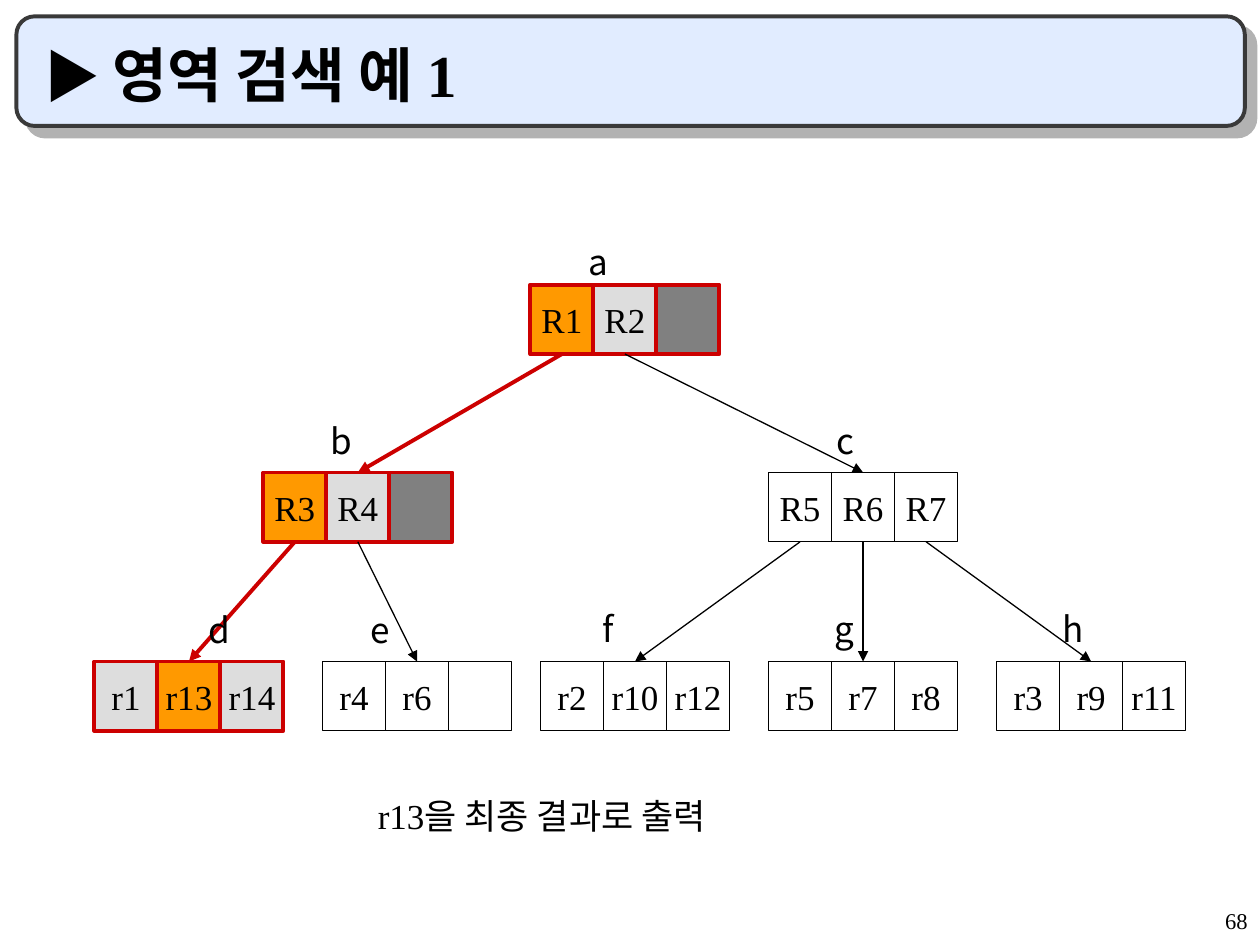
from dataclasses import dataclass

from lxml.etree import SubElement
from pptx import Presentation
from pptx.dml.color import RGBColor
from pptx.enum.shapes import MSO_CONNECTOR as Link, MSO_SHAPE as Shape
from pptx.enum.text import MSO_ANCHOR as Anchor, MSO_AUTO_SIZE as AutoSize, PP_ALIGN as Align
from pptx.oxml.ns import qn
from pptx.util import Inches, Pt

BOTTOM, TOP = 2, 0
CELL_WIDTH, CELL_HEIGHT = 0.5, 0.55
LABEL_WIDTH, LABEL_HEIGHT = 1.18, 0.44


@dataclass(frozen=True)
class Theme:
    serif: str = "Times New Roman"
    sans: str = "Noto Sans CJK KR"
    ink: str = "000000"
    visited: str = "CC0000"
    hit: str = "FF9900"
    checked: str = "DDDDDD"
    unused: str = "808080"
    banner: str = "E1ECFF"
    banner_edge: str = "393939"
    banner_shadow: str = "B2B2B2"
    title_size: float = 34
    marker_size: float = 32
    body_size: float = 20
    page_size: float = 12.9
    thin: float = 0.75
    thick: float = 2.25


@dataclass(frozen=True)
class Node:
    name: str
    left: float
    top: float
    entries: tuple
    label_center: float
    label_top: float
    fills: tuple = (None, None, None)

    @property
    def is_visited(self):
        return any(self.fills)


class TreeSlide:
    def __init__(self, deck, theme):
        self.theme = theme
        self.slide = deck.slides.add_slide(deck.slide_layouts[5])
        self.shapes = self.slide.shapes

    def style_span(self, span, size, face=None, bold=False):
        font = span.font
        font.name = face or self.theme.serif
        font.size = Pt(size)
        font.bold = bold
        font.color.rgb = RGBColor.from_string(self.theme.ink)
        east_asian = SubElement(span._r.get_or_add_rPr(), qn("a:ea"))
        east_asian.set("typeface", self.theme.sans)

    def style_line(self, line, color, width):
        line.color.rgb = RGBColor.from_string(color)
        line.width = Pt(width)

    def path_style(self, is_visited):
        """Return line colour and width, strong on the search path."""
        theme = self.theme
        return (theme.visited, theme.thick) if is_visited else (theme.ink, theme.thin)

    def add_banner(self):
        theme = self.theme
        box = self.shapes.add_shape(
            Shape.ROUNDED_RECTANGLE, Inches(0.13), Inches(0.13), Inches(9.75), Inches(0.87))
        box.fill.solid()
        box.fill.fore_color.rgb = RGBColor.from_string(theme.banner)
        self.style_line(box.line, theme.banner_edge, theme.thick)
        effects = SubElement(box.element.spPr, qn("a:effectLst"))
        shadow = SubElement(effects, qn("a:outerShdw"), blurRad="0",
                            dist=str(Pt(8.5)), dir="2700000", algn="ctr", rotWithShape="0")
        SubElement(shadow, qn("a:srgbClr"), val=theme.banner_shadow)
        self.shapes.title.element.addprevious(box.element)

    def add_title(self, marker, text):
        title = self.shapes.title
        title.left, title.top = Inches(0.25), Inches(0.25)
        title.width, title.height = Inches(9.42), Inches(0.67)
        frame = title.text_frame
        frame.auto_size = AutoSize.NONE
        frame.vertical_anchor = Anchor.BOTTOM
        para = frame.paragraphs[0]
        para.alignment = Align.LEFT
        for words, size in ((marker, self.theme.marker_size), (text, self.theme.title_size)):
            span = para.add_run()
            span.text = words
            self.style_span(span, size, bold=True)

    def add_text(self, text, left, top, width, height, size, align, face=None, spacing=None):
        box = self.shapes.add_textbox(Inches(left), Inches(top), Inches(width), Inches(height))
        frame = box.text_frame
        frame.word_wrap = True
        frame.text = text
        para = frame.paragraphs[0]
        para.alignment = align
        para.line_spacing = spacing
        self.style_span(para.runs[0], size, face)

    def add_node(self, node):
        """Draw a row of grouped cells and return the cells."""
        group = self.shapes.add_group_shape()
        cells = []
        for column, (entry, fill) in enumerate(zip(node.entries, node.fills)):
            cell = group.shapes.add_shape(
                Shape.RECTANGLE, Inches(node.left + column * CELL_WIDTH), Inches(node.top),
                Inches(CELL_WIDTH), Inches(CELL_HEIGHT))
            cell.shadow.inherit = False
            if fill:
                cell.fill.solid()
                cell.fill.fore_color.rgb = RGBColor.from_string(fill)
            else:
                cell.fill.background()
            self.style_line(cell.line, *self.path_style(node.is_visited))
            if entry:
                self.fill_cell(cell, entry)
            cells.append(cell)
        return cells

    def fill_cell(self, cell, entry):
        frame = cell.text_frame
        frame.word_wrap = False
        frame.vertical_anchor = Anchor.MIDDLE
        frame.text = entry
        para = frame.paragraphs[0]
        para.alignment = Align.CENTER
        self.style_span(para.runs[0], self.theme.body_size)

    def add_label(self, node):
        self.add_text(node.name, node.label_center - LABEL_WIDTH / 2, node.label_top,
                      LABEL_WIDTH, LABEL_HEIGHT, self.theme.body_size, Align.CENTER,
                      face=self.theme.sans)

    def add_arrow(self, parent_cell, child_cell, is_visited):
        arrow = self.shapes.add_connector(Link.STRAIGHT, 0, 0, 0, 0)
        arrow.begin_connect(parent_cell, BOTTOM)
        arrow.end_connect(child_cell, TOP)
        self.style_line(arrow.line, *self.path_style(is_visited))
        SubElement(arrow.line._get_or_add_ln(), qn("a:tailEnd"), type="triangle")
        SubElement(arrow.element.spPr, qn("a:effectLst"))


def main():
    theme = Theme()
    deck = Presentation()
    deck.slide_width, deck.slide_height = Inches(10), Inches(7.5)
    page = TreeSlide(deck, theme)
    page.add_banner()
    page.add_title("▶ ", "영역 검색 예 1")

    first_hit = (theme.hit, theme.checked, theme.unused)
    second_hit = (theme.checked, theme.hit, theme.checked)
    root, middle, leaf = 2.26, 3.75, 5.25
    nodes = [
        Node("a", 4.21, root, ("R1", "R2", ""), 4.75, 1.86, first_hit),
        Node("b", 2.09, middle, ("R3", "R4", ""), 2.71, 3.28, first_hit),
        Node("c", 6.10, middle, ("R5", "R6", "R7"), 6.71, 3.28),
        Node("d", 0.75, leaf, ("r1", "r13", "r14"), 1.74, 4.78, second_hit),
        Node("e", 2.56, leaf, ("r4", "r6", ""), 3.02, 4.78),
        Node("f", 4.29, leaf, ("r2", "r10", "r12"), 4.83, 4.77),
        Node("g", 6.10, leaf, ("r5", "r7", "r8"), 6.70, 4.77),
        Node("h", 7.91, leaf, ("r3", "r9", "r11"), 8.52, 4.77),
    ]
    children = {"a": "bc", "b": "de", "c": "fgh"}

    by_name = {node.name: node for node in nodes}
    cells = {node.name: page.add_node(node) for node in nodes}
    for parent, names in children.items():
        for parent_cell, child in zip(cells[parent], names):
            page.add_arrow(parent_cell, cells[child][1], by_name[child].is_visited)
    for node in nodes:
        page.add_label(node)

    page.add_text("r13을 최종 결과로 출력", 2.9, 6.35, 5.17, 0.38, theme.body_size,
                  Align.LEFT, spacing=0.7)
    page.add_text("68", 7.92, 7.17, 2.08, 0.33, theme.page_size, Align.RIGHT, spacing=0.9)
    deck.save("out.pptx")


if __name__ == "__main__":
    main()
